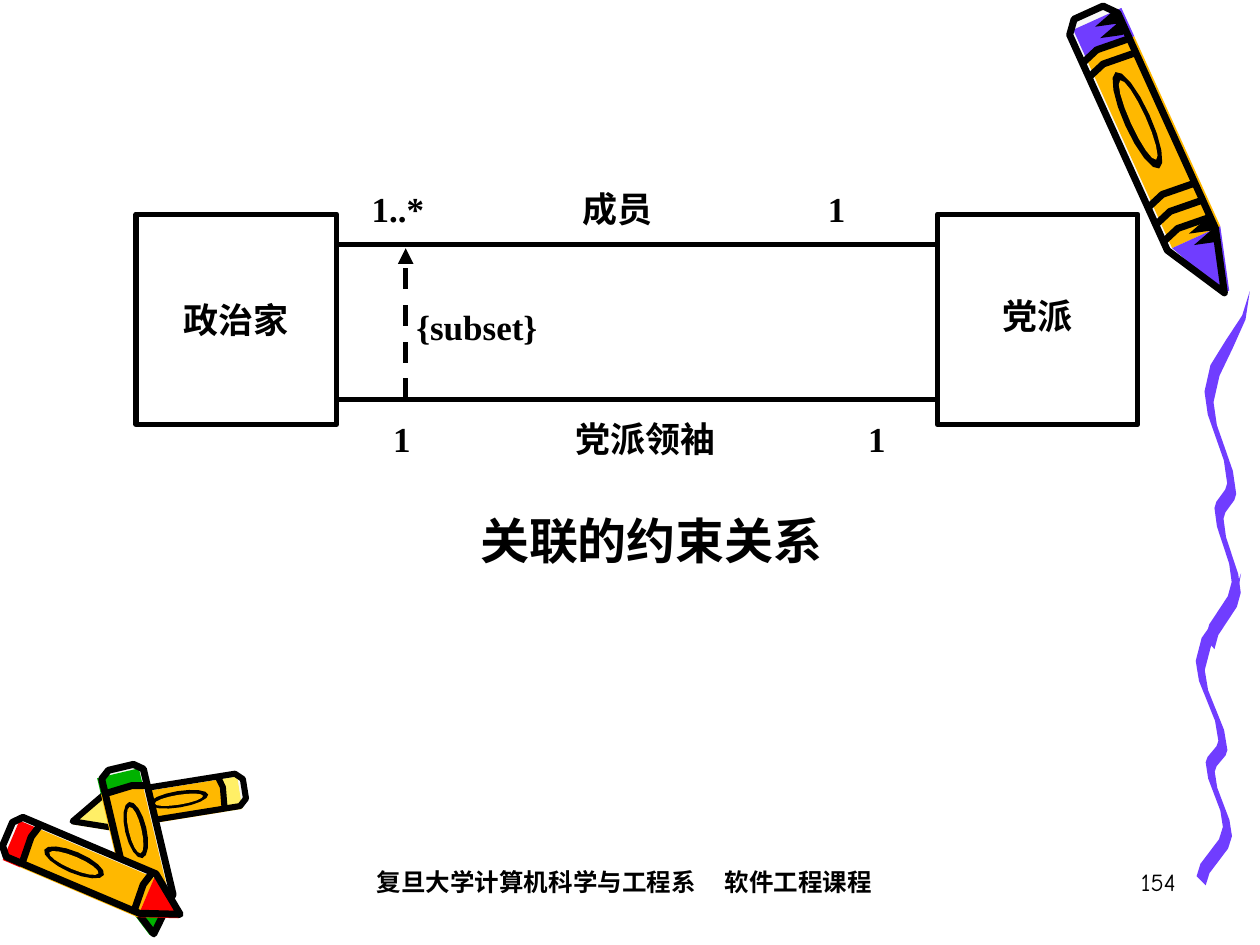
from math import cos, hypot, pi, sin

from lxml import etree
from pptx import Presentation
from pptx.dml.color import RGBColor as RGB
from pptx.enum.dml import MSO_LINE as Dash
from pptx.enum.shapes import MSO_CONNECTOR as Conn, MSO_SHAPE as Shape
from pptx.enum.text import MSO_ANCHOR as Anchor, PP_ALIGN as Align
from pptx.oxml.ns import qn
from pptx.util import Inches, Pt

deck = Presentation()
deck.slide_width, deck.slide_height = Inches(10), Inches(7.5)
unit = deck.slide_width // 1000  # all lengths are thousandths of the width
slide = deck.slides.add_slide(deck.slide_layouts[6])
shapes = slide.shapes
black, violet, amber = "000000", "703DFF", "FFB800"
red, green, lemon, pale = "FF0000", "00B200", "FFEF66", "F8F8F8"
serif, comic = "Times New Roman", "Comic Neue"


def label(box, words, size=20, font=serif, bold=True, align=Align.CENTER,
          space=0.8, anchor=Anchor.TOP, lead=0, stops=()):
    """Write one line; lead shifts its start, stops place its later parts."""
    x, y, w, h = (n * unit for n in box)
    frame = shapes.add_textbox(x, y, w, h).text_frame
    frame.word_wrap = True
    frame.vertical_anchor = anchor
    frame.margin_left = (10 + lead) * unit
    para = frame.paragraphs[0]
    para.text = words
    para.alignment = Align.LEFT if stops else align
    para.line_spacing = space
    if stops:
        tabs = etree.SubElement(para._p.get_or_add_pPr(), qn("a:tabLst"))
        for stop in stops:
            etree.SubElement(tabs, qn("a:tab"), pos=str(stop * unit), algn="l")
    para.font.size, para.font.name, para.font.bold = Pt(size), font, bold
    para.font.color.rgb = RGB.from_string(black)


def patch(axes, points, fill=None, width=0, close=True):
    """Draw points (t, s), which lie at start + t * along + s * across."""
    (x, y), (ax, ay), (cx, cy) = axes
    spots = [(round((x + t * ax + s * cx) * unit), round((y + t * ay + s * cy) * unit))
             for t, s in points]
    pen = shapes.build_freeform(*spots[0], scale=1.0)
    pen.add_line_segments(spots[1:], close=close)
    form = pen.convert_to_shape()
    form.shadow.inherit = False
    if fill:
        form.fill.solid()
        form.fill.fore_color.rgb = RGB.from_string(fill)
    else:
        form.fill.background()
    if width:
        form.line.width = Pt(width)
        form.line.color.rgb = RGB.from_string(black)
    else:
        form.line.fill.background()


# Crayons: t runs from the blunt end (0) to the point (1), s from edge to edge
# (-1 to 1). The colour is set off to one side and leaves a pale strip.
neck, cap, shift = 0.8, 0.13, 0.2
edge = [(0.04, -1), (0, -0.6), (0, 0.6), (0.04, 1), (neck, 1), (1, 0.3), (neck, -1)]
small, large = (cap, neck - 0.03), (cap, 0.18, 0.64, 0.7, 0.76)
crayons = [  # blunt end, point, half width (its sign picks the side), tint, bands, pen
    ((194, 626), (57, 648), 13, lemon, small, 3.5),
    ((96, 609), (127, 740), -17, green, small, 4),
    ((6, 662), (145, 721), -17, red, small, 4),
    ((864, 10), (966, 235), 21, violet, large, 4),
]
for (x, y), (px, py), half, tint, bands, pen in crayons:
    dx, dy = px - x, py - y
    size = hypot(dx, dy)
    axes = (x, y), (dx, dy), (dy * half / size, -dx * half / size)

    # Pale body, then the tinted ends and the amber middle
    patch(axes, edge, pale)
    low, high = shift - 1, shift + 1
    patch(axes, [(0.03, low), (0.03, high), (cap, high), (cap, low)], tint)
    patch(axes, [(cap, low), (cap, high), (neck, high), (neck, low)], amber)
    patch(axes, [(neck, low), (neck, high), (1, 0.5), (1, 0.3)], tint)

    # Oval mark: an amber ellipse set off inside a black one
    for mid, reach, fat, color in ((0, 0.17, 0.5, black), (0.03, 0.14, 0.3, amber)):
        turns = [k * pi / 8 for k in range(16)]
        patch(axes, [(0.38 + reach * cos(a), mid + fat * sin(a)) for a in turns], color)

    # Curved bands, jagged shade on the large one, and the outline
    for t in bands:
        patch(axes, [(t + 0.01, -1), (t - 0.01, -0.3), (t, 1)], width=pen, close=False)
    if bands == large:
        for start in (0.03, 0.76):
            teeth = [(start + k * 0.02, (0.8, 0)[k % 2]) for k in range(5)]
            patch(axes, [(start, 1), *teeth, (start + 0.08, 1)], black)
    patch(axes, edge, width=pen)

# Squiggle: two strands, each a ribbon that eases from one turn to the next
turns = [(0, 1), (0.3, 0.1), (0.56, 0.6), (0.63, 0.32), (0.84, 0.7), (1, 0.12)]
steps = 4
spine = []
for (t1, s1), (t2, s2) in zip(turns, turns[1:]):
    for k in range(steps):
        part = k / steps
        spine.append((t1 + (t2 - t1) * part, s1 + (s2 - s1) * (1 - cos(pi * part)) / 2))
spine.append(turns[-1])
for left, top, tall in ((949, 455, 244), (956, 231, 280)):
    sides = [[], []]
    for t, s in spine:
        thick = min(1, 5 * t)  # the ribbon starts as a point
        for side, sign in zip(sides, (-1, 1)):
            side.append((t + sign * 0.015 * thick, s + sign * 0.1 * thick))
    patch(((left, top), (0, tall), (36, 0)), sides[0] + sides[1][::-1], violet)

# Role names and counts, above and below the links
label((283, 150, 448, 58), "1..*\t成员\t1", lead=2, stops=(167, 362))
label((283, 333, 448, 50), "1\t党派领袖\t1", lead=19, stops=(145, 377))
label((292, 226, 173, 72), "{subset}", anchor=Anchor.MIDDLE)

# Classes
for left, name, space in ((108, "政治家", 1.0), (744, "党派", 0.8)):
    area = (left, 170, 159, 167)
    box = shapes.add_shape(Shape.RECTANGLE, *(n * unit for n in area))
    box.shadow.inherit = False
    box.fill.background()
    box.line.width = Pt(3)
    box.line.color.rgb = RGB.from_string(black)
    label(area, name, space=space, anchor=Anchor.MIDDLE)

# Associations, and last the constraint arrow between them
upper, lower = 194, 317
for ends in ((267, upper, 744, upper), (267, lower, 744, lower),
             (322, lower, 322, upper + 3)):
    link = shapes.add_connector(Conn.STRAIGHT, *(n * unit for n in ends))
    link.line.width = Pt(3)
    link.line.color.rgb = RGB.from_string(black)
    etree.SubElement(link._element.spPr, qn("a:effectLst"))
link.line.dash_style = Dash.DASH
etree.SubElement(link.line._get_or_add_ln(), qn("a:tailEnd"), type="triangle")

# Caption and footer
label((367, 409, 300, 58), "关联的约束关系", size=28)
label((200, 683, 592, 50), "复旦大学计算机科学与工程系\t软件工程课程", size=14,
      font=comic, space=1.0, lead=89, stops=(276,))
label((735, 683, 208, 50), "154", size=14, font=comic, bold=False,
      align=Align.RIGHT, space=1.0)

deck.save("out.pptx")
